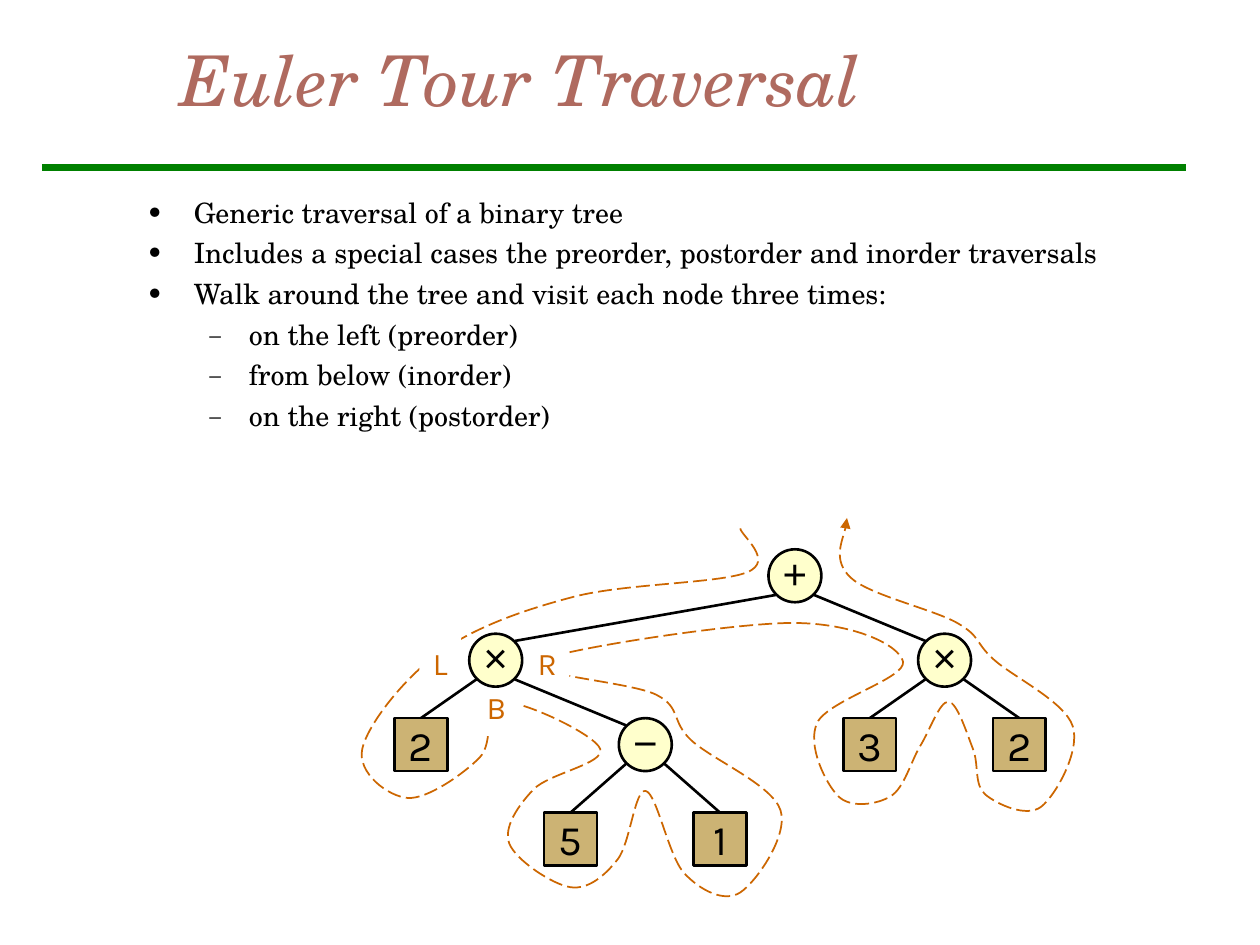
from dataclasses import dataclass

from lxml.etree import SubElement
from pptx import Presentation
from pptx.dml.color import RGBColor
from pptx.enum.dml import MSO_LINE
from pptx.enum.shapes import MSO_CONNECTOR, MSO_SHAPE
from pptx.enum.text import MSO_ANCHOR, MSO_AUTO_SIZE, PP_ALIGN
from pptx.oxml.ns import qn
from pptx.util import Pt


@dataclass(frozen=True)
class Theme:
    black = RGBColor.from_string("000000")
    white = RGBColor.from_string("FFFFFF")
    heading = RGBColor.from_string("AF6A5F")
    rule = RGBColor.from_string("008000")
    operator = RGBColor.from_string("FFFFCC")
    operand = RGBColor.from_string("CCB374")
    tour = RGBColor.from_string("CC6600")
    serif, symbol, sans = "TeX Gyre Schola", "Arial", "Karla"
    title_size, body_size = Pt(40), Pt(16)
    node_size, label_size = Pt(24), Pt(18)


THEME = Theme()

POINTS = [
    ("Generic traversal of a binary tree", 0),
    ("Includes a special cases the preorder, postorder and inorder traversals", 0),
    ("Walk around the tree and visit each node three times:", 0),
    ("on the left (preorder)", 1),
    ("from below (inorder)", 1),
    ("on the right (postorder)", 1),
]
# Per level: left margin, hanging indent, bullet, bullet size in 1/1000 percent
BULLETS = [(Pt(27), Pt(-27), "•", 100000), (Pt(58.5), Pt(-22.5), "–", 75000)]

# Tree nodes: symbol, column, row, parent index
NODES = [
    ("+", 5, 0, None),
    ("×", 1, 1, 0), ("×", 7, 1, 0),
    ("2", 0, 2, 1), ("−", 3, 2, 1), ("3", 6, 2, 2), ("2", 8, 2, 2),
    ("5", 2, 3, 4), ("1", 4, 3, 4),
]
OPERATORS = "+×−"
FIRST_COLUMN, COLUMN_STEP = 240.5, 42.75
ROWS = [329, 377.25, 425.5, 479.5]
NODE = 30.25
RIM = 11  # where an edge meets a circle, across and down from its centre

# Points the tour runs through, from start to arrowhead
TOUR = [
    (423, 302), (427, 327), (328, 341), (251, 373), (207, 428), (233, 456),
    (274, 433), (287, 401), (343, 428), (305, 451), (291, 482), (326, 507),
    (353, 491), (369, 452), (391, 499), (423, 510), (446, 463), (395, 423),
    (375, 397), (307, 378), (453, 356), (516, 378), (467, 413), (479, 455),
    (509, 455), (526, 426), (542, 401), (556, 428), (563, 454), (595, 461),
    (613, 415), (568, 377), (547, 356), (486, 330), (484, 296),
]
# Visit labels: letter, centre, top, width
VISITS = [("L", 251.6, 364.3, 23.8), ("B", 283.7, 389.5, 25.9), ("R", 312.8, 364.3, 25.2)]


def set_values(target, values):
    for name, value in values.items():
        setattr(target, name, value)


def write(paragraph, text, face, size, color, italic=False):
    run = paragraph.add_run()
    run.text = text
    set_values(run.font, {"name": face, "size": size, "italic": italic})
    run.font.color.rgb = color


def place(item, left, top, width, height):
    set_values(item, {"left": Pt(left), "top": Pt(top), "width": Pt(width), "height": Pt(height)})


def add_title(slide):
    title = slide.shapes.title
    place(title, 96, 0, 612, 90)
    set_values(title.text_frame, {"vertical_anchor": MSO_ANCHOR.MIDDLE,
                                  "auto_size": MSO_AUTO_SIZE.NONE})
    paragraph = title.text_frame.paragraphs[0]
    paragraph.alignment = PP_ALIGN.LEFT
    write(paragraph, "Euler Tour Traversal", THEME.serif, THEME.title_size, THEME.heading, True)


def add_bullet(paragraph, level):
    margin, indent, mark, scale = BULLETS[level]
    properties = paragraph._p.get_or_add_pPr()
    properties.set("marL", str(margin))
    properties.set("indent", str(indent))
    color = SubElement(properties, qn("a:buClr"))
    SubElement(color, qn("a:srgbClr"), val=str(THEME.black))
    SubElement(properties, qn("a:buSzPct"), val=str(scale))
    SubElement(properties, qn("a:buFont"), typeface=THEME.serif)
    SubElement(properties, qn("a:buChar"), char=mark)


def add_body(slide):
    body = slide.placeholders[1]
    place(body, 76.5, 108, 589.5, 181.5)
    frame = body.text_frame
    set_values(frame, {"vertical_anchor": MSO_ANCHOR.TOP, "auto_size": MSO_AUTO_SIZE.NONE})
    for index, (text, level) in enumerate(POINTS):
        paragraph = frame.add_paragraph() if index else frame.paragraphs[0]
        add_bullet(paragraph, level)
        set_values(paragraph, {"level": level, "alignment": PP_ALIGN.LEFT,
                               "space_before": Pt(4 if index else 0)})
        write(paragraph, text, THEME.serif, THEME.body_size, THEME.black)


def add_line(slide, start, end, color=THEME.black, width=1.5):
    line = slide.shapes.add_connector(MSO_CONNECTOR.STRAIGHT, *map(Pt, start + end))
    line.line.color.rgb = color
    line.line.width = Pt(width)
    SubElement(line._element.spPr, qn("a:effectLst"))


def add_shape(slide, kind, box, fill, outlined, margins, anchor):
    shape = slide.shapes.add_shape(kind, *map(Pt, box))
    shape.shadow.inherit = False
    shape.fill.solid()
    shape.fill.fore_color.rgb = fill
    if outlined:
        shape.line.color.rgb = THEME.black
        shape.line.width = Pt(1.5)
    else:
        shape.line.fill.background()
    side, top, bottom = map(Pt, margins)
    set_values(shape.text_frame, {
        "margin_left": side, "margin_right": side, "margin_top": top,
        "margin_bottom": bottom, "vertical_anchor": anchor, "word_wrap": False})
    paragraph = shape.text_frame.paragraphs[0]
    paragraph.alignment = PP_ALIGN.CENTER
    return paragraph


def centre(node):
    return FIRST_COLUMN + COLUMN_STEP * node[1], ROWS[node[2]]


def add_edge(slide, parent, child):
    (px, py), (cx, cy) = centre(parent), centre(child)
    side = RIM if cx > px else -RIM
    end = (cx - side, cy - RIM) if child[0] in OPERATORS else (cx, cy - NODE / 2)
    add_line(slide, (px + side, py + RIM), end)


def add_node(slide, node):
    x, y = centre(node)
    if node[0] in OPERATORS:
        kind, fill, face, margins = MSO_SHAPE.OVAL, THEME.operator, THEME.symbol, (0, 0, 3.6)
    else:
        kind, fill, face, margins = MSO_SHAPE.RECTANGLE, THEME.operand, THEME.sans, (7.2, 3.6, 3.6)
    box = (x - NODE / 2, y - NODE / 2, NODE, NODE)
    paragraph = add_shape(slide, kind, box, fill, True, margins, MSO_ANCHOR.MIDDLE)
    write(paragraph, node[0], face, THEME.node_size, THEME.black)


def add_visit(slide, letter, x, top, width):
    paragraph = add_shape(slide, MSO_SHAPE.RECTANGLE, (x - width / 2, top, width, 28.8),
                          THEME.white, False, (7.2, 3.6, 3.6), MSO_ANCHOR.TOP)
    write(paragraph, letter, THEME.sans, THEME.label_size, THEME.tour)


def add_tour(slide):
    # Smooth curve: each handle is a sixth of the way between the neighbours
    knots = [TOUR[0], *TOUR, TOUR[-1]]
    stops = []
    for before, start, end, after in zip(knots, knots[1:], knots[2:], knots[3:]):
        stops.append([s + (e - b) / 6 for s, e, b in zip(start, end, before)])
        stops.append([e - (a - s) / 6 for s, e, a in zip(start, end, after)])
        stops.append(end)
    builder = slide.shapes.build_freeform(*map(Pt, TOUR[0]))
    builder.add_line_segments([(Pt(x), Pt(y)) for x, y in stops], close=False)
    tour = builder.convert_to_shape()

    # Join every three straight steps into one Bézier segment
    steps = tour._element.findall(".//" + qn("a:lnTo"))
    for first, second, third in zip(steps[::3], steps[1::3], steps[2::3]):
        first.tag = qn("a:cubicBezTo")
        for step in (second, third):
            first.append(step[0])
            step.getparent().remove(step)

    tour.shadow.inherit = False
    tour.fill.background()
    tour.line.color.rgb = THEME.tour
    set_values(tour.line, {"width": Pt(1), "dash_style": MSO_LINE.LONG_DASH})
    SubElement(tour._element.spPr.find(qn("a:ln")), qn("a:tailEnd"), type="triangle")


def main():
    deck = Presentation()
    set_values(deck, {"slide_width": Pt(720), "slide_height": Pt(540)})
    slide = deck.slides.add_slide(deck.slide_layouts[1])

    # Heading and list
    add_line(slide, (24, 96), (678, 96), THEME.rule, 4)
    add_title(slide)
    add_body(slide)

    # Tour with its three visits, then the tree
    add_tour(slide)
    for visit in VISITS:
        add_visit(slide, *visit)
    for node in NODES:
        if node[3] is not None:
            add_edge(slide, NODES[node[3]], node)
    for node in NODES:
        add_node(slide, node)

    deck.save("out.pptx")


if __name__ == "__main__":
    main()
